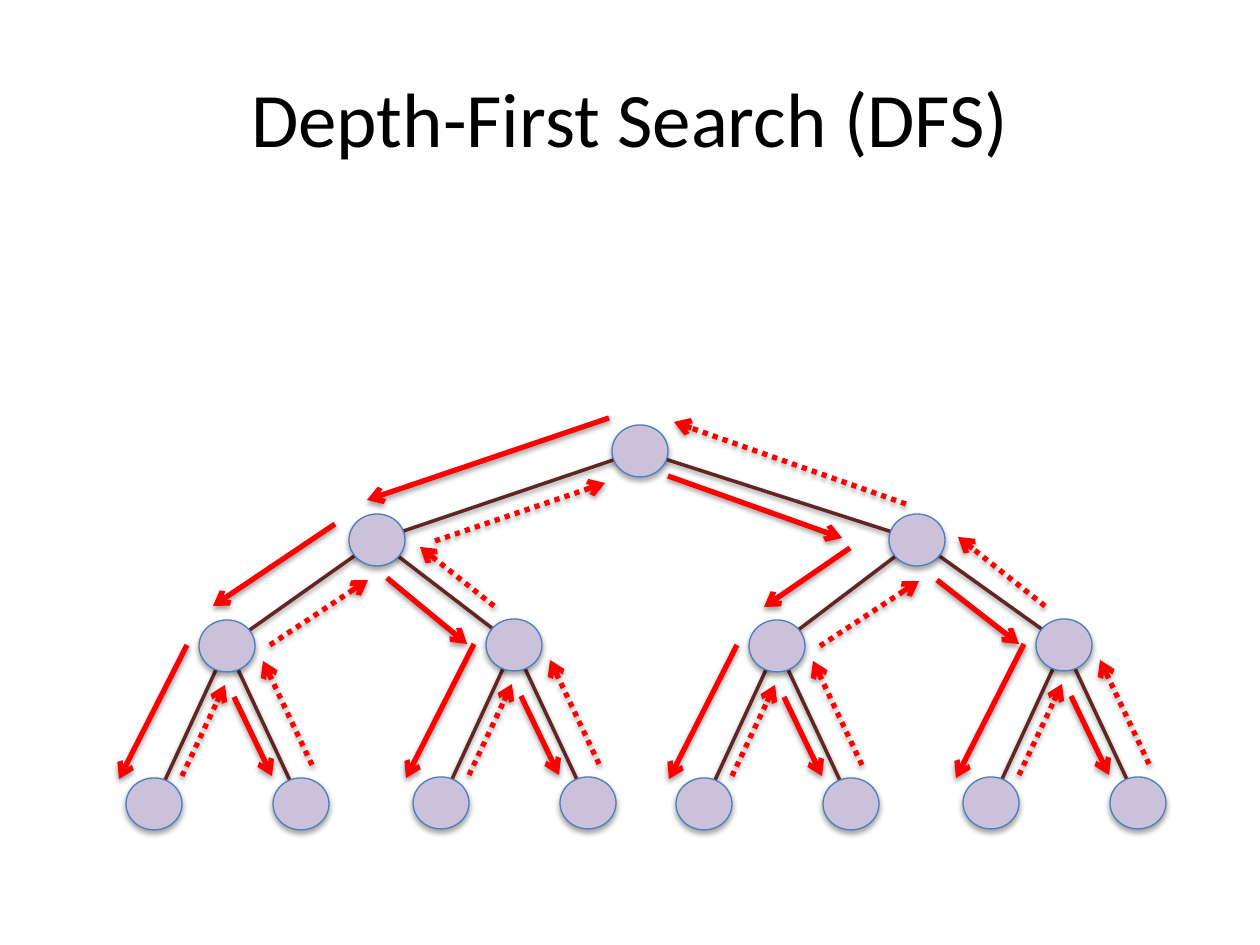
from dataclasses import dataclass
from typing import NamedTuple

from lxml.etree import SubElement
from pptx import Presentation
from pptx.dml.color import RGBColor
from pptx.enum.dml import MSO_LINE
from pptx.enum.shapes import MSO_CONNECTOR, MSO_SHAPE
from pptx.enum.text import MSO_ANCHOR, PP_ALIGN
from pptx.oxml.ns import qn
from pptx.util import Emu, Pt

PX_PER_INCH = 126


class Point(NamedTuple):
    x: int
    y: int


class Step(NamedTuple):
    start: Point
    end: Point
    backtrack: bool = False


@dataclass(frozen=True)
class Shadow:
    opacity: int
    blur: float
    distance: float


@dataclass(frozen=True)
class Theme:
    font: str = "Calibri"
    title_size: Pt = Pt(44)
    title: RGBColor = RGBColor(0, 0, 0)
    edge: RGBColor = RGBColor(0x63, 0x25, 0x23)
    node: RGBColor = RGBColor(0xCC, 0xC1, 0xDA)
    outline: RGBColor = RGBColor(0x4B, 0x7E, 0xBC)
    visit: RGBColor = RGBColor(0xFF, 0, 0)
    line_shadow: Shadow = Shadow(38, 3.1, 1.6)
    node_shadow: Shadow = Shadow(35, 3.1, 1.8)


THEME = Theme()
NODE_WIDTH, NODE_HEIGHT = 56, 52

ROOT = [Point(640, 451)]
BRANCHES = [Point(377, 540), Point(917, 540)]
FORKS = [Point(227, 646), Point(514, 645), Point(777, 646), Point(1064, 645)]
LEAVES = [Point(fork.x + dx, fork.y + 158) for fork in FORKS for dx in (-73, 74)]
TREE = ROOT + BRANCHES + FORKS + LEAVES

UPPER_STEPS = [
    Step(Point(609, 418), Point(367, 500)),
    Step(Point(335, 524), Point(213, 606)),
    Step(Point(270, 645), Point(368, 580), True),
    Step(Point(387, 578), Point(467, 644)),
    Step(Point(494, 606), Point(420, 547), True),
    Step(Point(435, 541), Point(605, 483), True),
    Step(Point(668, 476), Point(842, 538)),
    Step(Point(850, 548), Point(764, 607)),
    Step(Point(820, 646), Point(919, 581), True),
    Step(Point(937, 580), Point(1019, 644)),
    Step(Point(1045, 606), Point(958, 537), True),
    Step(Point(906, 504), Point(674, 422), True),
]
FORK_STEPS = [
    Step(Point(-40, -1), Point(-108, 133)),
    Step(Point(-45, 130), Point(-2, 39), True),
    Step(Point(7, 51), Point(45, 130)),
    Step(Point(85, 119), Point(36, 15), True),
]


def px(length: int) -> Emu:
    return Emu(round(length * 914400 / PX_PER_INCH))


def add_shadow(shape, shadow: Shadow) -> None:
    effects = SubElement(shape._element.spPr, qn("a:effectLst"))
    outer = SubElement(
        effects, qn("a:outerShdw"),
        blurRad=str(int(Pt(shadow.blur))), dist=str(int(Pt(shadow.distance))),
        dir="5400000", rotWithShape="0",
    )
    black = SubElement(outer, qn("a:srgbClr"), val="000000")
    SubElement(black, qn("a:alpha"), val=str(shadow.opacity * 1000))


def draw_line(slide, start: Point, end: Point, color: RGBColor, width: int,
              arrow: bool = False, dotted: bool = False) -> None:
    connector = slide.shapes.add_connector(
        MSO_CONNECTOR.STRAIGHT, px(start.x), px(start.y), px(end.x), px(end.y))
    connector.line.color.rgb = color
    connector.line.width = Pt(width)
    if dotted:
        connector.line.dash_style = MSO_LINE.ROUND_DOT
    if arrow:
        SubElement(connector.line._get_or_add_ln(), qn("a:tailEnd"), type="arrow")
    add_shadow(connector, THEME.line_shadow)


def draw_node(slide, center: Point) -> None:
    node = slide.shapes.add_shape(
        MSO_SHAPE.OVAL, px(center.x - NODE_WIDTH // 2), px(center.y - NODE_HEIGHT // 2),
        px(NODE_WIDTH), px(NODE_HEIGHT))
    node.fill.solid()
    node.fill.fore_color.rgb = THEME.node
    node.line.color.rgb = THEME.outline
    node.line.width = Pt(0.75)
    add_shadow(node, THEME.node_shadow)


def draw_step(slide, step: Step, origin: Point = Point(0, 0)) -> None:
    start, end = (Point(origin.x + p.x, origin.y + p.y) for p in (step.start, step.end))
    draw_line(slide, start, end, THEME.visit, 3, arrow=True, dotted=step.backtrack)


def draw_title(slide, text: str) -> None:
    title = slide.shapes.title
    title.left, title.top, title.width, title.height = map(px, (63, 38, 1134, 158))
    title.text_frame.text = text
    title.text_frame.vertical_anchor = MSO_ANCHOR.MIDDLE
    heading = title.text_frame.paragraphs[0]
    heading.alignment = PP_ALIGN.CENTER
    heading.font.name = THEME.font
    heading.font.size = THEME.title_size
    heading.font.color.rgb = THEME.title


def main() -> None:
    presentation = Presentation()
    presentation.slide_width, presentation.slide_height = px(1260), px(945)
    slide = presentation.slides.add_slide(presentation.slide_layouts[5])
    draw_title(slide, "Depth-First Search (DFS)")
    for index, child in enumerate(TREE[1:], start=1):
        draw_line(slide, TREE[(index - 1) // 2], child, THEME.edge, 2)
    for center in TREE:
        draw_node(slide, center)
    for step in UPPER_STEPS:
        draw_step(slide, step)
    for fork in FORKS:
        for step in FORK_STEPS:
            draw_step(slide, step, fork)
    presentation.save("out.pptx")


if __name__ == "__main__":
    main()
